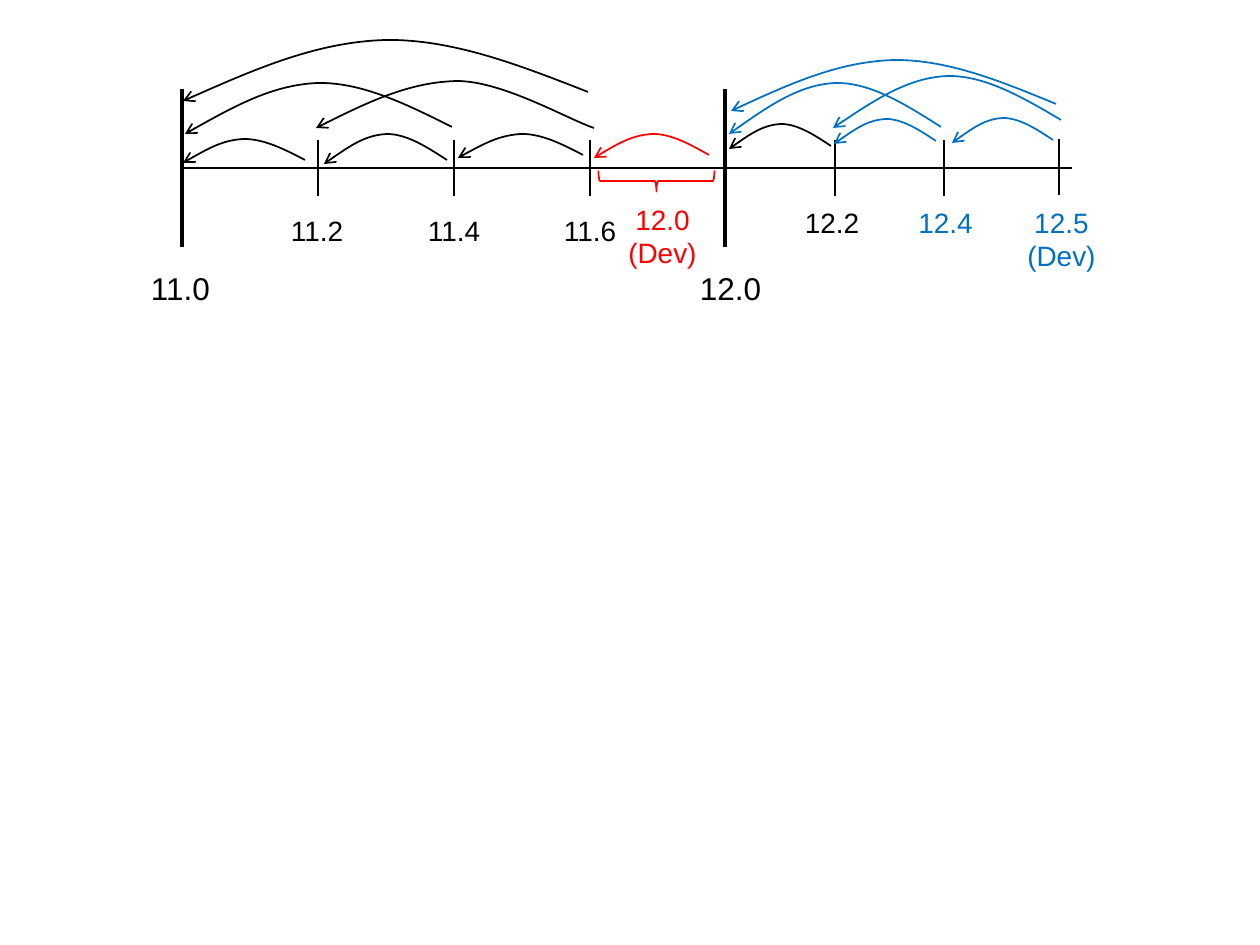
from lxml.etree import SubElement
from pptx import Presentation
from pptx.dml.color import RGBColor
from pptx.enum.shapes import MSO_CONNECTOR, MSO_SHAPE
from pptx.enum.text import MSO_AUTO_SIZE, PP_ALIGN
from pptx.oxml.ns import qn
from pptx.util import Emu, Inches, Pt

BLACK, RED, BLUE = "000000", "FF0000", "0070C0"


def px(length):
    return Emu(round(length * 914400 / 126))


def color(hex_code):
    return RGBColor.from_string(hex_code)


class Timeline:
    font = "Arial"

    def __init__(self, slide):
        self.shapes = slide.shapes

    def stroke(self, shape, hue, width=1):
        shape.line.color.rgb = color(hue)
        shape.line.width = Pt(width)

    def line(self, x1, y1, x2, y2, width=1):
        connector = self.shapes.add_connector(
            MSO_CONNECTOR.STRAIGHT, px(x1), px(y1), px(x2), px(y2))
        self.stroke(connector, BLACK, width)
        SubElement(connector._element.spPr, qn("a:effectLst"))

    def label(self, text, left, top, width, height, hue=BLACK, size=16, wrap=False):
        box = self.shapes.add_textbox(px(left), px(top), px(width), px(height))
        frame = box.text_frame
        frame.text = text
        frame.word_wrap = wrap
        frame.auto_size = MSO_AUTO_SIZE.SHAPE_TO_FIT_TEXT
        for paragraph in frame.paragraphs:
            paragraph.alignment = PP_ALIGN.CENTER
            paragraph.font.name = self.font
            paragraph.font.size = Pt(size)
            paragraph.font.color.rgb = color(hue)

    def arc(self, start, peak, end, hue=BLACK, lead=(1 / 3, 1 / 2)):
        (x1, y1), (x2, y2), (x3, y3) = start, peak, end
        points = [
            (x1 + (x2 - x1) * lead[0], y1 + (y2 - y1) * lead[1]),
            (x1 + (x2 - x1) * 2 / 3, y2),
            peak,
            (x2 + (x3 - x2) / 3, y2 + 1),
            (x2 + (x3 - x2) * 2 / 3, (y2 + y3) / 2),
            end,
        ]
        builder = self.shapes.build_freeform(px(x1), px(y1))
        builder.add_line_segments([(px(x), px(y)) for x, y in points], close=False)
        curve = builder.convert_to_shape()
        curve.shadow.inherit = False
        curve.fill.background()
        self.stroke(curve, hue)
        SubElement(curve.line._get_or_add_ln(), qn("a:tailEnd"), type="arrow")
        self.bend(curve)

    def bend(self, curve):
        outline = next(curve._element.iter(qn("a:path")))
        segments = outline.findall(qn("a:lnTo"))
        for first in range(0, len(segments), 3):
            bezier = SubElement(outline, qn("a:cubicBezTo"))
            for segment in segments[first:first + 3]:
                bezier.append(segment[0])
                outline.remove(segment)

    def brace(self, left, top, width, height, hue):
        brace = self.shapes.add_shape(
            MSO_SHAPE.LEFT_BRACE, px(left), px(top), px(width), px(height))
        brace.rotation = 270
        brace.shadow.inherit = False
        brace.fill.background()
        self.stroke(brace, hue)


def main():
    deck = Presentation()
    deck.slide_width, deck.slide_height = Inches(10), Inches(7.5)
    timeline = Timeline(deck.slides.add_slide(deck.slide_layouts[6]))

    timeline.line(182, 168, 1072, 168)
    for release, x, label_left in (("11.0", 182, 135), ("12.0", 725, 685)):
        timeline.line(x, 89, x, 247, width=2)
        timeline.label(release, label_left, 263, 91, 50, size=18)

    for x in (318, 454, 590, 835, 944):
        timeline.line(x, 196, x, 140)
    timeline.line(1059, 195, 1059, 139)

    for release, left, top in (("11.2", 275, 207), ("11.4", 412, 207),
                               ("11.6", 548, 207), ("12.2", 790, 199)):
        timeline.label(release, left, top, 84, 47)
    for release, left, top, height, hue in (("12.0\n(Dev)", 573, 196, 81, RED),
                                            ("12.4", 856, 199, 47, BLUE),
                                            ("12.5\n(Dev)", 972, 199, 81, BLUE)):
        timeline.label(release, left, top, 179, height, hue, wrap=True)

    upgrades = {
        BLACK: [
            ((305, 160), (244, 139), (183, 163)),
            ((452, 127), (320, 83), (185, 134)),
            ((588, 92), (389, 40), (183, 101)),
            ((447, 160), (387, 134), (324, 164)),
            ((583, 155), (522, 134), (458, 158)),
            ((831, 146), (781, 124), (729, 149)),
        ],
        RED: [((709, 155), (653, 134), (594, 158))],
        BLUE: [
            ((941, 127), (837, 83), (729, 134)),
            ((936, 141), (886, 119), (834, 144)),
            ((1056, 104), (896, 60), (731, 111)),
            ((1053, 140), (1003, 118), (952, 143)),
            ((1061, 120), (949, 76), (833, 128)),
        ],
    }
    for hue, arcs in upgrades.items():
        for start, peak, end in arcs:
            timeline.arc(start, peak, end, hue)
    timeline.arc((594, 128), (457, 81), (316, 128), lead=(0.2, 0.2))

    timeline.brace(646, 123, 21, 116, RED)
    deck.save("out.pptx")


if __name__ == "__main__":
    main()
